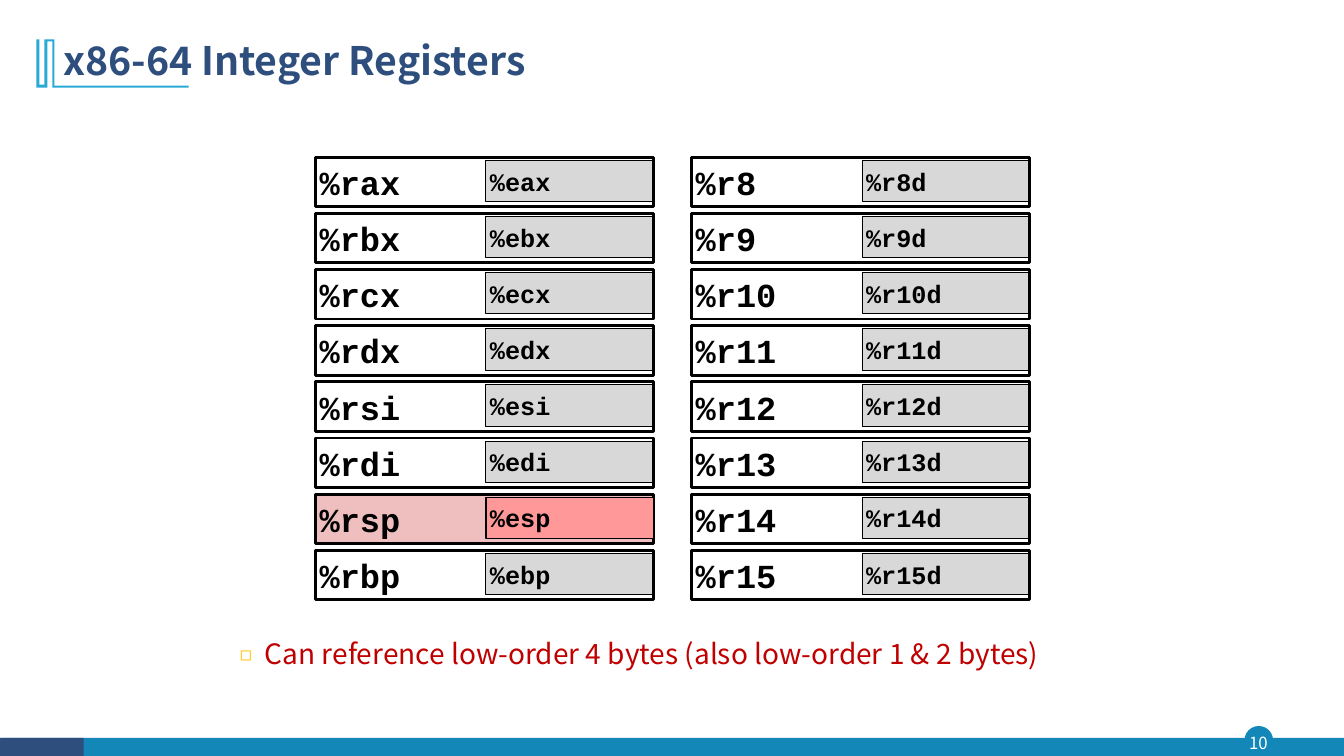
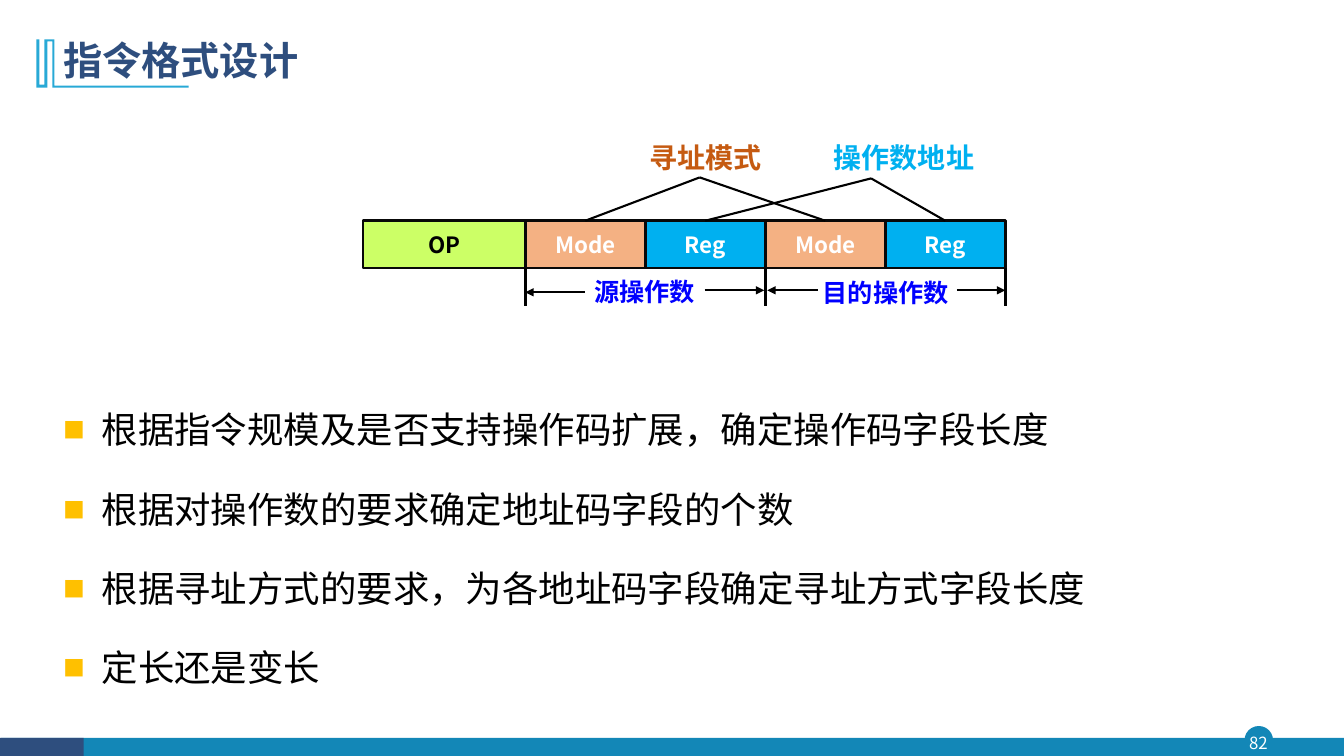
from dataclasses import dataclass
from typing import NamedTuple, Optional

import pptx
import pptx.dml.color
import pptx.enum.shapes
import pptx.enum.text
import pptx.oxml.ns
import pptx.oxml.xmlchemy
import pptx.util
from lxml import etree

Inches = pptx.util.Inches
Pt = pptx.util.Pt
Align = pptx.enum.text.PP_ALIGN
Anchor = pptx.enum.text.MSO_ANCHOR
Preset = pptx.enum.shapes.MSO_SHAPE
qn = pptx.oxml.ns.qn


@dataclass(frozen=True)
class Theme:
    sans: str = "Noto Sans CJK SC"
    mono: str = "Courier New"
    navy: str = "2E4E7E"
    teal: str = "1387B7"
    cyan: str = "28A9D6"
    gold: str = "FFC000"
    red: str = "C00000"
    black: str = "000000"
    white: str = "FFFFFF"
    cell_edge: str = "080808"
    low_half: str = "D8D8D8"
    stack_full: str = "EFBFBF"
    stack_low: str = "FF9999"
    opcode: str = "CCFF66"
    mode: str = "F4B183"
    mode_label: str = "C55A11"
    reg: str = "00B0F0"
    operand: str = "0000FF"
    title_size: float = 28
    point_size: float = 26
    register_size: float = 24
    label_size: float = 20
    half_size: float = 18
    cell_size: float = 16
    number_size: float = 12


THEME = Theme()


class Area(NamedTuple):
    left: float
    top: float
    width: float
    height: float


class Bullet(NamedTuple):
    symbol: str
    percent: int
    left: float
    hanging: float


class Field(NamedTuple):
    name: str
    width: float
    fill: str
    color: str


class Label(NamedTuple):
    text: str
    area: Area
    color: str
    size: float
    align: Align


def rgb(value: str) -> pptx.dml.color.RGBColor:
    return pptx.dml.color.RGBColor.from_string(value)


def add_child(parent, tag: str, **attributes: str):
    child = etree.SubElement(parent, qn(tag))
    for name, value in attributes.items():
        child.set(name, value)
    return child


def add_bullet(para, bullet: Bullet) -> None:
    properties = para._p.get_or_add_pPr()
    properties.set("marL", str(Inches(bullet.left)))
    properties.set("indent", str(-Inches(bullet.hanging)))
    add_child(add_child(properties, "a:buClr"), "a:srgbClr", val=THEME.gold)
    add_child(properties, "a:buSzPct", val=str(bullet.percent * 1000))
    add_child(properties, "a:buFont", typeface=THEME.sans)
    add_child(properties, "a:buChar", char=bullet.symbol)


def write(box, text: str, *, size: float, color: str = THEME.black, font: str = THEME.sans,
          bold: bool = False, align: Align = Align.LEFT, anchor: Anchor = Anchor.MIDDLE,
          margins: Optional[float] = None, line_spacing=None, gap: float = 0,
          bullet: Optional[Bullet] = None) -> None:
    """Fill a shape with text, one paragraph per line."""
    frame = box.text_frame
    frame.word_wrap = True
    frame.vertical_anchor = anchor
    if margins is not None:
        frame.margin_left = frame.margin_right = Inches(margins)
        frame.margin_top = frame.margin_bottom = Inches(margins)
    for index, line in enumerate(text.split("\n")):
        para = frame.add_paragraph() if index else frame.paragraphs[0]
        if bullet:
            add_bullet(para, bullet)
        para.alignment = align
        if line_spacing:
            para.line_spacing = line_spacing
        if index and gap:
            para.space_before = Pt(gap)
        span = para.add_run()
        span.text = line
        span.font.name = font
        span.font.size = Pt(size)
        span.font.bold = bold
        span.font.color.rgb = rgb(color)
        add_child(span.font._element, "a:ea", typeface=font)


def add_box(page, area: Area, *, fill: Optional[str] = None, line: Optional[str] = None,
            line_width: float = 1, preset: Preset = Preset.RECTANGLE):
    box = page.shapes.add_shape(preset, *map(Inches, area))
    paint(box, fill, line, line_width)
    return box


def paint(box, fill: Optional[str], line: Optional[str] = None, line_width: float = 1) -> None:
    box.shadow.inherit = False
    if fill:
        box.fill.solid()
        box.fill.fore_color.rgb = rgb(fill)
    else:
        box.fill.background()
    if line:
        box.line.color.rgb = rgb(line)
        box.line.width = Pt(line_width)
    else:
        box.line.fill.background()


def add_text(page, area: Area, text: str, **style):
    box = page.shapes.add_textbox(*map(Inches, area))
    write(box, text, **style)
    return box


def add_line(page, start: tuple[float, float], end: tuple[float, float], *,
             width: float = 1.5, arrow: bool = False):
    line = page.shapes.add_connector(
        pptx.enum.shapes.MSO_CONNECTOR.STRAIGHT, *map(Inches, (*start, *end)))
    line.line.color.rgb = rgb(THEME.black)
    line.line.width = Pt(width)
    if arrow:
        add_child(line.line._get_or_add_ln(), "a:tailEnd", type="triangle")
    add_child(line._element.spPr, "a:effectLst")
    return line


# Outline of the title mark, in hundredths of an inch
TITLE_MARK = [(54, 39), (54, 85), (187, 85), (187, 87), (52, 87), (52, 41), (47, 41),
              (47, 87), (36, 87), (36, 39), (39, 39), (39, 84), (44, 84), (44, 39)]


def add_page(deck, title: str, number: int):
    """Add a blank page with the shared footer, title mark and title."""
    page = deck.slides.add_slide(deck.slide_layouts[6])
    add_box(page, Area(12.35, 7.21, 0.27, 0.27), fill=THEME.teal, line=THEME.teal,
            preset=Preset.OVAL)
    add_box(page, Area(0.01, 7.32, 13.32, 0.18), fill=THEME.teal)
    add_box(page, Area(0, 7.32, 0.83, 0.18), fill=THEME.navy)
    add_text(page, Area(12.32, 7.21, 0.32, 0.31), str(number), size=THEME.number_size,
             color=THEME.white, align=Align.CENTER, margins=0)
    outline = page.shapes.build_freeform(*TITLE_MARK[0], scale=Inches(0.01))
    outline.add_line_segments(TITLE_MARK[1:], close=True)
    paint(outline.convert_to_shape(), THEME.cyan)
    add_text(page, Area(0.53, 0.28, 11.5, 0.68), title, size=THEME.title_size,
             color=THEME.navy, bold=True, line_spacing=0.9)
    return page


def add_register(page, left: float, top: float, full: str, low: str) -> None:
    """Draw a 64-bit register with its low 32 bits as the right half."""
    stack = full == "%rsp"

    def draw_full() -> None:
        box = add_box(page, Area(left, top, 3.35, 0.49), line=THEME.black, line_width=2,
                      fill=THEME.stack_full if stack else None)
        write(box, full, size=THEME.register_size, font=THEME.mono, bold=True, margins=0.04)

    def draw_low() -> None:
        box = add_box(page, Area(left + 1.69, top + 0.03, 1.66, 0.41), line=THEME.black,
                      fill=THEME.stack_low if stack else THEME.low_half,
                      line_width=1 if stack else 0.75)
        write(box, low, size=THEME.half_size, font=THEME.mono, bold=True, margins=0.04)

    for draw in (draw_full, draw_low) if stack else (draw_low, draw_full):
        draw()


def build_registers(deck) -> None:
    page = add_page(deck, "x86-64 Integer Registers", 10)
    add_text(page, Area(1.78, 6.18, 9.3, 0.92),
             "Can reference low-order 4 bytes (also low-order 1 & 2 bytes)",
             size=THEME.label_size, color=THEME.red, align=Align.JUSTIFY, anchor=Anchor.TOP,
             line_spacing=Pt(30), bullet=Bullet("◻", 70, 0.75, 0.25))
    named = [(f"%r{name}", f"%e{name}")
             for name in ("ax", "bx", "cx", "dx", "si", "di", "sp", "bp")]
    numbered = [(f"%r{index}", f"%r{index}d") for index in range(8, 16)]
    for left, registers in ((3.13, named), (6.86, numbered)):
        for row, (full, low) in enumerate(registers):
            add_register(page, left, 1.56 + row * 3.9 / 7, full, low)


def build_instruction_format(deck) -> None:
    page = add_page(deck, "指令格式设计", 82)
    points = ["根据指令规模及是否支持操作码扩展，确定操作码字段长度",
              "根据对操作数的要求确定地址码字段的个数",
              "根据寻址方式的要求，为各地址码字段确定寻址方式字段长度",
              "定长还是变长"]
    add_text(page, Area(0.53, 3.78, 11.5, 3.3), "\n".join(points), size=THEME.point_size,
             align=Align.JUSTIFY, anchor=Anchor.TOP, line_spacing=Pt(46.6), gap=10,
             bullet=Bullet("■", 60, 0.38, 0.38))

    mode = Field("Mode", 1.19, THEME.mode, THEME.white)
    reg = Field("Reg", 1.19, THEME.reg, THEME.white)
    left, top, height = 3.6, 2.19, 0.47
    cells = []
    for field in (Field("OP", 1.61, THEME.opcode, THEME.black), mode, reg, mode, reg):
        cell = add_box(page, Area(left, top, field.width, height), fill=field.fill,
                       line=THEME.cell_edge, line_width=2)
        write(cell, field.name, size=THEME.cell_size, color=field.color, bold=True,
              align=Align.CENTER)
        cells.append(cell)
        left += field.width

    for apex, targets in (((6.94, 1.76), cells[1::2]), ((8.64, 1.77), cells[2::2])):
        for cell in targets:
            add_line(page, apex, (apex[0], top)).end_connect(cell, 0)

    for edge in (5.21, 7.59, 9.97):
        add_line(page, (edge, top + height), (edge, 3.04), width=2)
    for start, end, level in ((5.8, 5.21, 2.9), (6.99, 7.58, 2.88),
                              (8.11, 7.61, 2.88), (9.49, 9.97, 2.88)):
        add_line(page, (start, level), (end, level), arrow=True)

    labels = [
        Label("寻址模式", Area(6.23, 1.35, 1.42, 0.43), THEME.mode_label, THEME.label_size,
              Align.RIGHT),
        Label("操作数地址", Area(8.11, 1.35, 1.65, 0.43), THEME.reg, THEME.label_size,
              Align.RIGHT),
        Label("源操作数", Area(5.57, 2.69, 1.42, 0.4), THEME.operand, THEME.half_size,
              Align.RIGHT),
        Label("目的操作数", Area(7.89, 2.7, 1.79, 0.4), THEME.operand, THEME.half_size,
              Align.CENTER),
    ]
    for label in labels:
        add_text(page, label.area, label.text, size=label.size, color=label.color, bold=True,
                 align=label.align)


def main() -> None:
    deck = pptx.Presentation()
    deck.slide_width = Inches(13.33)
    deck.slide_height = Inches(7.5)
    build_registers(deck)
    build_instruction_format(deck)
    deck.save("out.pptx")


if __name__ == "__main__":
    main()
